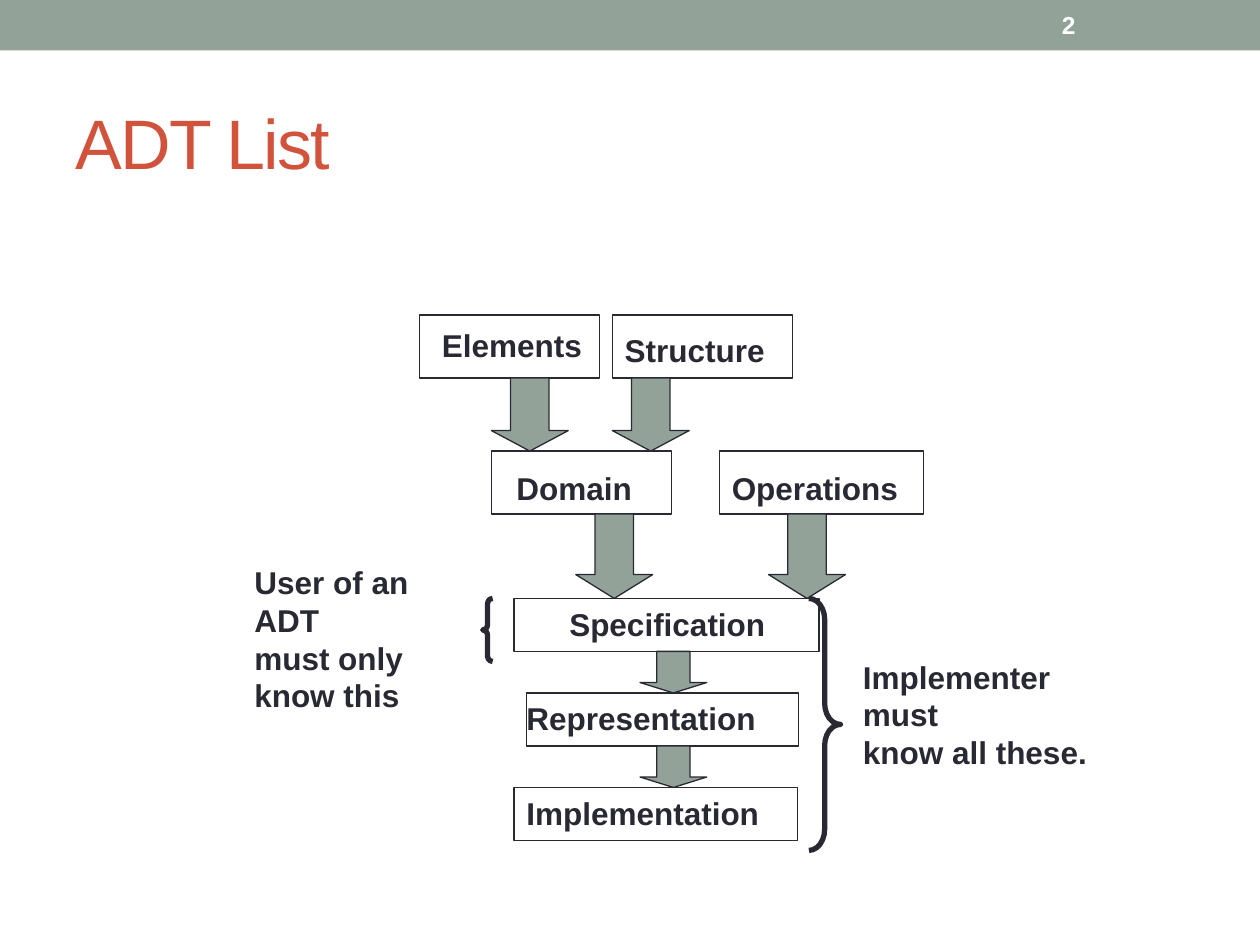
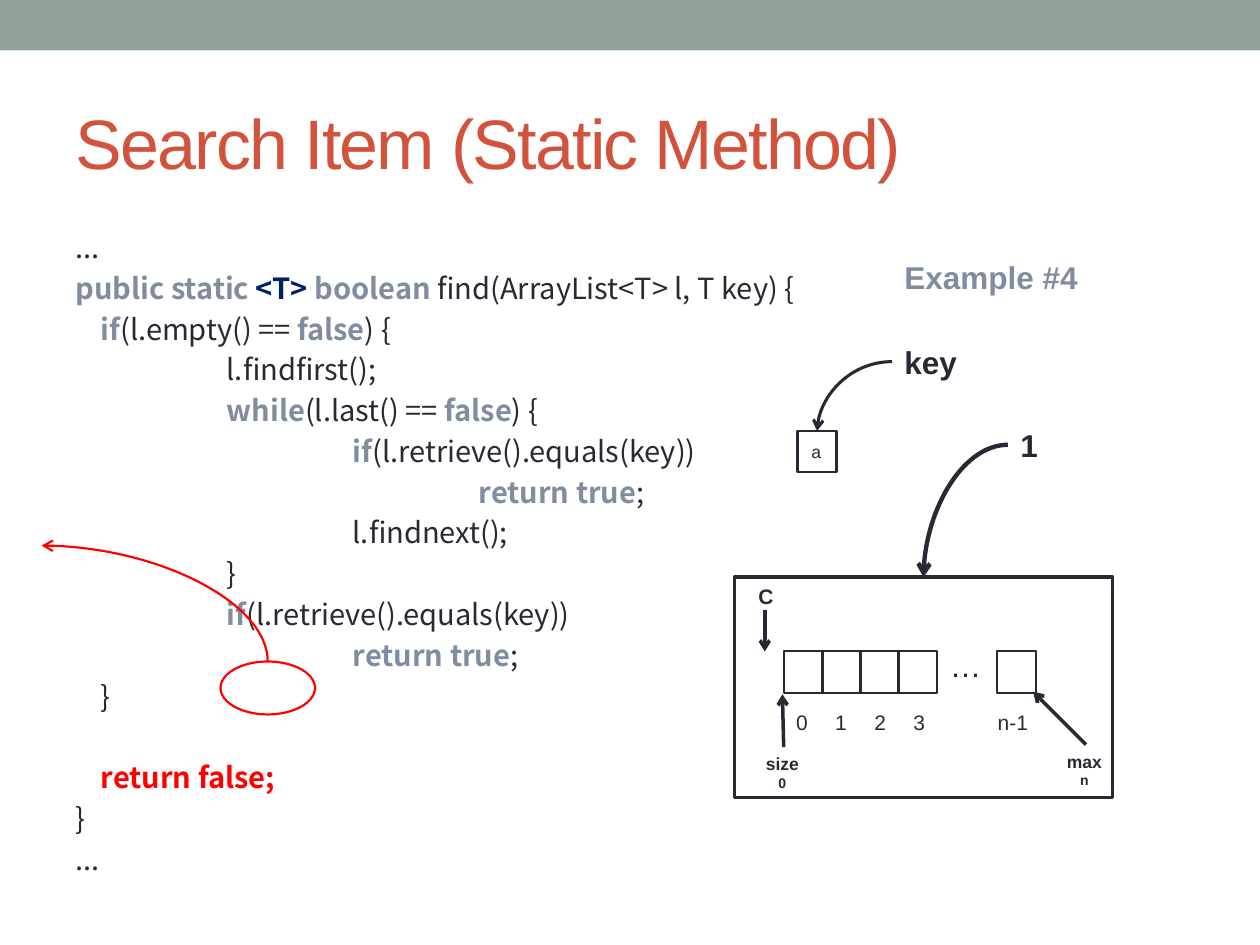
from dataclasses import dataclass
from typing import NamedTuple

from lxml import etree
from pptx import Presentation
from pptx.dml.color import RGBColor
from pptx.enum import shapes, text
from pptx.oxml import ns
from pptx.util import Inches, Pt


@dataclass(frozen=True)
class Theme:
    band: str = "93A299"
    title: str = "D2533C"
    ink: str = "292934"
    keyword: str = "808DA0"
    generic: str = "002060"
    alert: str = "FF0000"
    paper: str = "FFFFFF"
    font: str = "Arial"
    code_font: str = "Noto Sans CJK SC"
    title_size: float = 40
    label_size: float = 18
    code_size: float = 16.6
    number_size: float = 14
    index_size: float = 12
    small_size: float = 10
    tiny_size: float = 8


class Frame(NamedTuple):
    left: float
    top: float
    width: float
    height: float

    def emu(self) -> list:
        return [Inches(side) for side in self]


class Span(NamedTuple):
    text: str
    color: str
    bold: bool


class Step(NamedTuple):
    depth: int
    spans: list
    before: float = 3.3


class Label(NamedTuple):
    lines: tuple
    frame: Frame
    wrap: bool = False


class Arrow(NamedTuple):
    frame: Frame
    head: float


THEME = Theme()
KIND = shapes.MSO_SHAPE
LINK = shapes.MSO_CONNECTOR


# Shared drawing functions
def color(value: str) -> RGBColor:
    return RGBColor.from_string(value)


def add_span(para, words: str, size: float, ink: str = THEME.ink,
             bold: bool = False, font: str = THEME.font):
    span = para.add_run()
    span.text = words
    span.font.name = font
    span.font.size = Pt(size)
    span.font.bold = bold
    span.font.color.rgb = color(ink)
    return span


def add_label(page, label: Label, size: float = THEME.label_size,
              ink: str = THEME.ink, bold: bool = True):
    box = page.shapes.add_textbox(*label.frame.emu())
    box.text_frame.word_wrap = label.wrap
    for number, line in enumerate(label.lines):
        para = box.text_frame.paragraphs[0] if number == 0 else box.text_frame.add_paragraph()
        add_span(para, line, size, ink, bold)
    return box


def add_figure(page, kind, frame: Frame, fill: str | None = None,
               line: str | None = THEME.ink, weight: float = 0.75, adjust: tuple = ()):
    figure = page.shapes.add_shape(kind, *frame.emu())
    figure.shadow.inherit = False
    if fill:
        figure.fill.solid()
        figure.fill.fore_color.rgb = color(fill)
    else:
        figure.fill.background()
    if line:
        figure.line.color.rgb = color(line)
        figure.line.width = Pt(weight)
    else:
        figure.line.fill.background()
    for number, value in enumerate(adjust):
        figure.adjustments[number] = value
    return figure


def add_arrow(page, start: tuple, end: tuple, weight: float, ink: str = THEME.ink,
              curved: bool = False, arrow_end: str = "tailEnd"):
    points = [Inches(value) for value in (*start, *end)]
    link = page.shapes.add_connector(LINK.CURVE if curved else LINK.STRAIGHT, *points)
    link.line.color.rgb = color(ink)
    link.line.width = Pt(weight)
    properties = link._element.spPr
    if curved:
        properties.find(ns.qn("a:prstGeom")).set("prst", "curvedConnector2")
    etree.SubElement(link.line._get_or_add_ln(), ns.qn(f"a:{arrow_end}"), type="arrow")
    etree.SubElement(properties, ns.qn("a:effectLst"))
    return link


def place(holder, frame: Frame) -> None:
    holder.left, holder.top, holder.width, holder.height = frame.emu()
    holder.text_frame.auto_size = text.MSO_AUTO_SIZE.NONE


def add_page(deck, layout: int, heading: str):
    page = deck.slides.add_slide(deck.slide_layouts[layout])
    add_figure(page, KIND.RECTANGLE, Frame(0, 0, 10, 0.4), THEME.band, None)
    title = page.shapes.title
    place(title, Frame(0.5, 0.58, 9, 1.08))
    title.text_frame.vertical_anchor = text.MSO_ANCHOR.MIDDLE
    para = title.text_frame.paragraphs[0]
    para.alignment = text.PP_ALIGN.LEFT
    span = add_span(para, heading, THEME.title_size, THEME.title)
    span.font._element.set("spc", "-100")
    return page


# Slide 1: layers of the abstract data type
LAYER_BOXES = [
    Frame(3.33, 2.5, 1.43, 0.5), Frame(4.86, 2.5, 1.43, 0.5),
    Frame(3.9, 3.58, 1.43, 0.5), Frame(5.71, 3.58, 1.62, 0.5),
    Frame(4.08, 4.75, 2.42, 0.42), Frame(4.18, 5.5, 2.16, 0.42),
    Frame(4.08, 6.25, 2.25, 0.42),
]
LAYER_LABELS = [
    Label(("Elements",), Frame(3.41, 2.54, 1.36, 0.4)),
    Label(("Structure",), Frame(4.86, 2.58, 1.4, 0.4)),
    Label(("Domain",), Frame(4, 3.67, 1.2, 0.4)),
    Label(("Operations",), Frame(5.71, 3.67, 1.6, 0.4)),
    Label(("Specification",), Frame(4.42, 4.75, 1.87, 0.4), True),
    Label(("Representation",), Frame(4.08, 5.5, 2.15, 0.4), True),
    Label(("Implementation",), Frame(4.08, 6.25, 2.24, 0.4)),
    Label(("User of an ADT", "must only", "know this"), Frame(1.92, 4.42, 1.89, 1), True),
    Label(("Implementer must", "know all these."), Frame(6.75, 5.17, 2.18, 0.7), True),
]
LAYER_ARROWS = [
    *(Arrow(Frame(left, 3, 0.61, 0.58), 0.28) for left in (3.9, 4.86)),
    *(Arrow(Frame(left, 4.08, 0.61, 0.67), 0.31) for left in (4.57, 6.1)),
    *(Arrow(Frame(5.08, top, 0.53, 0.33), 0.25) for top in (5.17, 5.92)),
]


def build_layers(deck) -> None:
    page = add_page(deck, 5, "ADT List")
    number = add_label(page, Label(("2",), Frame(8.33, 0.02, 1.17, 0.36), True),
                       THEME.number_size, THEME.paper)
    number.text_frame.vertical_anchor = text.MSO_ANCHOR.MIDDLE
    for frame in LAYER_BOXES:
        add_figure(page, KIND.RECTANGLE, frame)
    for arrow in LAYER_ARROWS:
        add_figure(page, KIND.DOWN_ARROW, arrow.frame, THEME.band, adjust=(0.5, arrow.head))
    for label in LAYER_LABELS:
        add_label(page, label)
    # Who needs to know which layers
    add_figure(page, KIND.LEFT_BRACE, Frame(3.83, 4.75, 0.08, 0.5), weight=3, adjust=(0.5, 0.5))
    add_figure(page, KIND.RIGHT_BRACE, Frame(6.42, 4.75, 0.25, 2), weight=3, adjust=(0.67, 0.5))


# Slide 2: search method and its data
def keyword(words: str) -> Span:
    return Span(words, THEME.keyword, True)


def plain(words: str) -> Span:
    return Span(words, THEME.ink, False)


MATCH_TEST = [keyword("if"), plain("(l.retrieve().equals(key))")]
RETURN_TRUE = [keyword("return true"), plain(";")]
FIND_METHOD = [
    Step(0, [plain("...")], 0),
    Step(0, [keyword("public static "), Span("<T> ", THEME.generic, True),
             keyword("boolean "), plain("find(ArrayList<T> l, T key) {")]),
    Step(1, [keyword("if"), plain("(l.empty() == "), keyword("false"), plain(") {")]),
    Step(2, [plain("l.findfirst();")]),
    Step(2, [keyword("while"), plain("(l.last() == "), keyword("false"), plain(") {")]),
    Step(3, MATCH_TEST),
    Step(4, RETURN_TRUE),
    Step(3, [plain("l.findnext();")]),
    Step(2, [plain("}")]),
    Step(2, MATCH_TEST),
    Step(3, RETURN_TRUE),
    Step(1, [plain("}")]),
    Step(1, [Span("return false;", THEME.alert, True)], 26.6),
    Step(0, [plain("}")]),
    Step(0, [plain("...")]),
]


def add_code(page) -> None:
    body = page.placeholders[1]
    place(body, Frame(0.5, 1.75, 9, 5.33))
    body.text_frame.margin_top = Inches(0.07)
    for number, step in enumerate(FIND_METHOD):
        para = body.text_frame.paragraphs[0] if number == 0 else body.text_frame.add_paragraph()
        properties = para._p.get_or_add_pPr()
        properties.set("marL", str(Inches(0.2)))
        properties.set("indent", str(Inches(-0.2)))
        properties.set("defTabSz", str(Inches(1)))
        etree.SubElement(properties, ns.qn("a:buNone"))
        para.line_spacing = Pt(20)
        para.space_before = Pt(step.before)
        if step.depth:
            add_span(para, "\t" * step.depth, THEME.code_size, font=THEME.code_font)
        for span in step.spans:
            add_span(para, *span[:1], THEME.code_size, span.color, span.bold, THEME.code_font)


def add_list_diagram(page):
    # Array cells and their indexes
    frame = add_figure(page, KIND.RECTANGLE, Frame(5.83, 4.58, 3, 1.75), weight=2)
    for index in range(4):
        left = 6.22 + index * 0.91 / 3
        add_figure(page, KIND.RECTANGLE, Frame(left, 5.17, 0.31, 0.33), weight=1.25)
        add_label(page, Label((str(index),), Frame(6.22 + index * 0.31, 5.58, 0.31, 0.3)),
                  THEME.index_size, bold=False)
    add_figure(page, KIND.RECTANGLE, Frame(7.91, 5.17, 0.31, 0.33), THEME.paper, weight=1.25)
    add_label(page, Label(("n-1",), Frame(7.82, 5.58, 0.53, 0.3)), THEME.index_size, bold=False)
    add_label(page, Label(("…",), Frame(7.44, 5.08, 0.45, 0.4)), bold=False)
    # Markers for current, size and max
    add_label(page, Label(("C",), Frame(5.92, 4.58, 0.32, 0.3)), THEME.index_size)
    for label in (Label(("size", "0"), Frame(5.98, 5.93, 0.47, 0.4)),
                  Label(("max", "n"), Frame(8.37, 5.91, 0.5, 0.4))):
        value = add_label(page, label, THEME.small_size).text_frame.paragraphs[1]
        value.alignment = text.PP_ALIGN.CENTER
        value.runs[0].font.size = Pt(THEME.tiny_size)
    for start, end in (((6.07, 4.84), (6.07, 5.17)), ((6.22, 5.93), (6.21, 5.51)),
                       ((8.62, 5.91), (8.2, 5.49))):
        add_arrow(page, start, end, 2)
    return frame


def build_search(deck) -> None:
    page = add_page(deck, 1, "Search Item (Static Method)")
    add_code(page)
    list_frame = add_list_diagram(page)
    add_label(page, Label(("Example #4",), Frame(7.08, 2, 1.64, 0.4)), ink=THEME.keyword)
    # References to the list and the key
    list_name = add_label(page, Label(("1",), Frame(8, 3.33, 0.36, 0.4)))
    key_name = add_label(page, Label(("key",), Frame(7.08, 2.67, 0.62, 0.4)))
    key_box = add_figure(page, KIND.RECTANGLE, Frame(6.33, 3.42, 0.31, 0.33), weight=1.25)
    add_label(page, Label(("a",), Frame(6.34, 3.45, 0.29, 0.27)), THEME.small_size, bold=False)
    for name, target, start, end, weight in (
            (list_name, list_frame, (8, 3.54), (7.33, 4.58), 2.5),
            (key_name, key_box, (7.08, 2.87), (6.49, 3.42), 1.75)):
        link = add_arrow(page, start, end, weight, curved=True)
        link.begin_connect(name, 1)
        link.end_connect(target, 0)
    # Returned result
    result = add_figure(page, KIND.OVAL, Frame(1.75, 5.25, 0.75, 0.42),
                        line=THEME.alert, weight=1.25)
    link = add_arrow(page, (0.33, 4.33), (2.12, 5.25), 1.25, THEME.alert, True, "headEnd")
    link.end_connect(result, 0)


def main() -> None:
    deck = Presentation()
    deck.slide_width, deck.slide_height = Inches(10), Inches(7.5)
    build_layers(deck)
    build_search(deck)
    deck.save("out.pptx")


if __name__ == "__main__":
    main()
